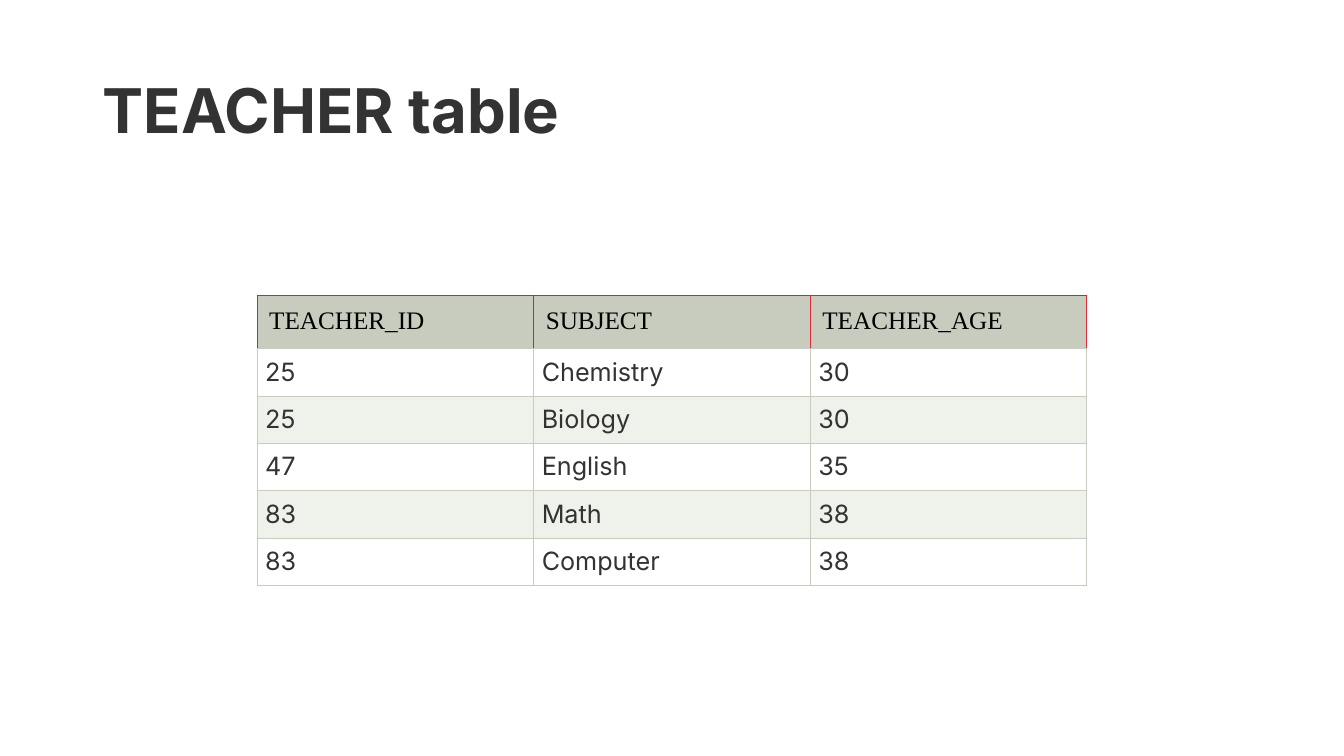
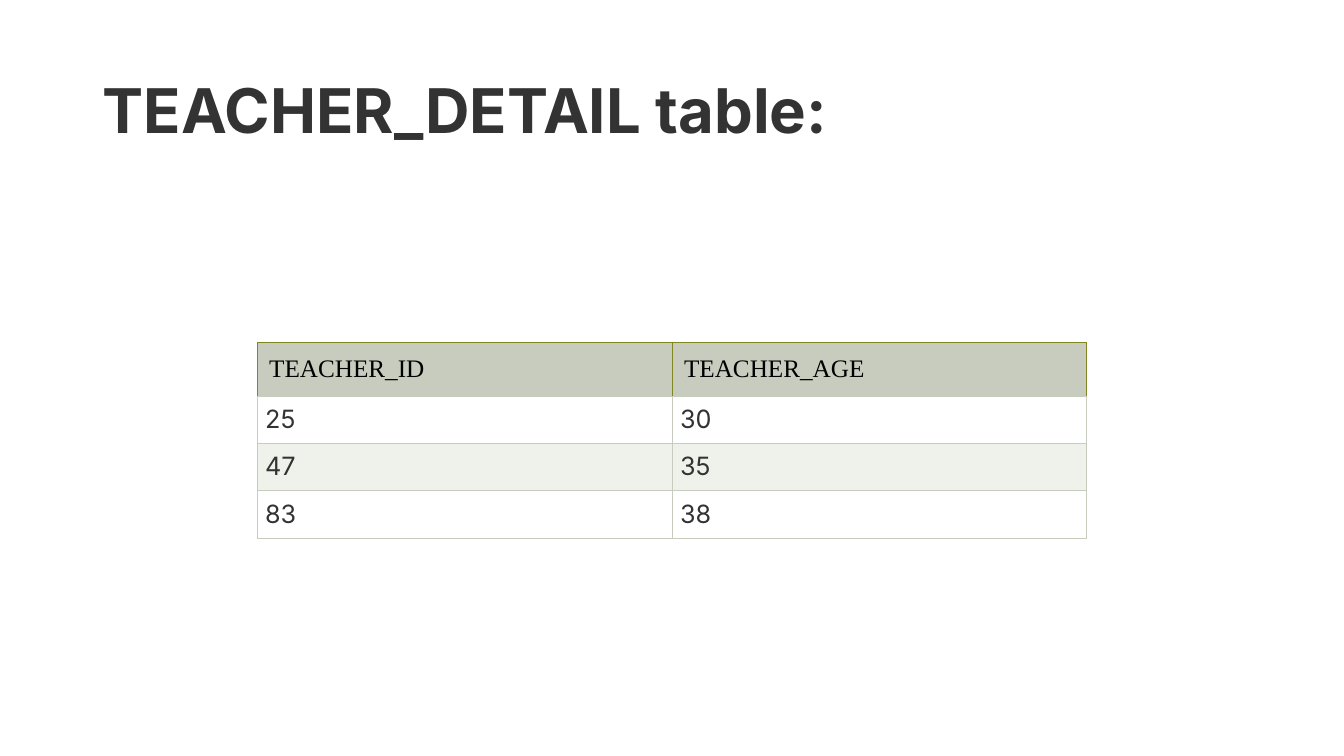
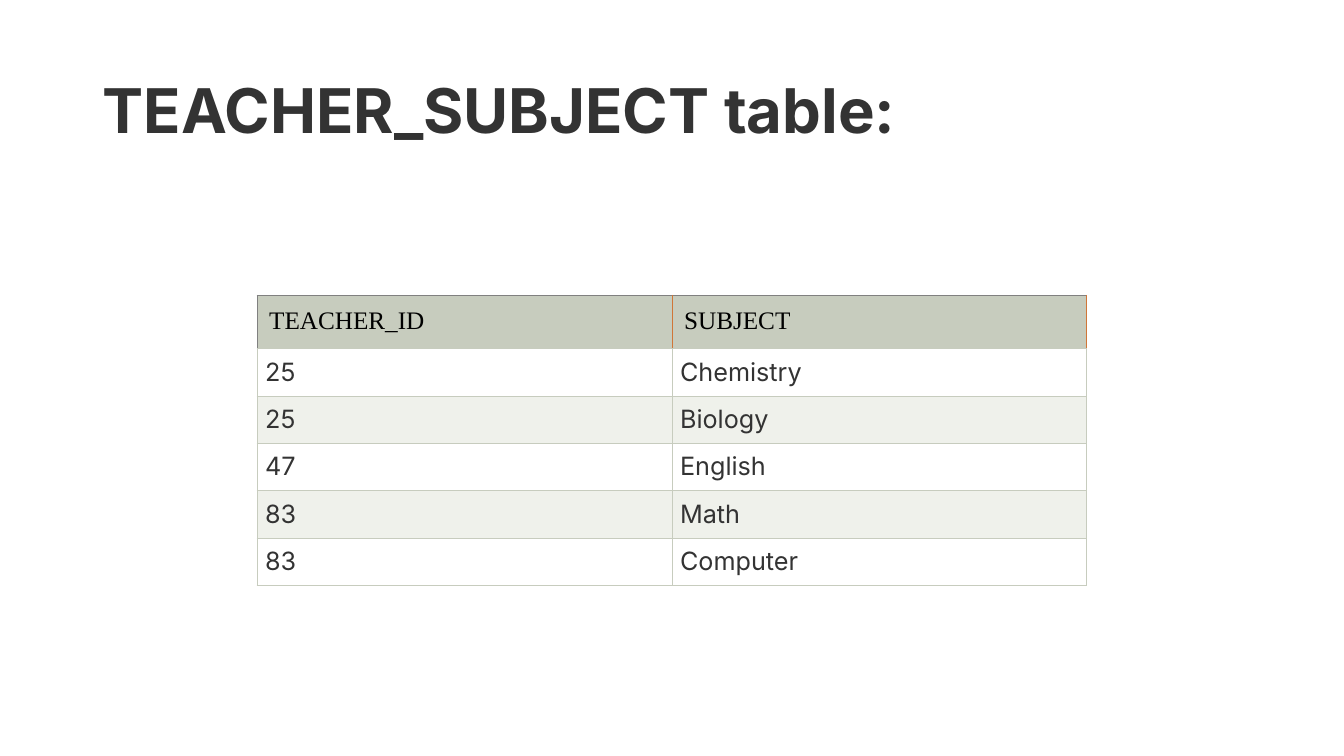
import lxml.etree
import pptx
import pptx.dml.color
import pptx.enum.text
import pptx.oxml.ns
import pptx.util

GREY, RED, OLIVE, MID_GREY, ORANGE = "5A5A5A", "E02938", "808722", "808080", "D07638"
SAGE, PALE, WHITE = "C7CCBE", "EFF1EB", "FFFFFF"

SUBJECTS = [("25", "Chemistry"), ("25", "Biology"), ("47", "English"),
            ("83", "Math"), ("83", "Computer")]
AGES = {"25": "30", "47": "35", "83": "38"}

# "edges" colours the header's vertical lines from left to right
TABLES = [
    {"title": "TEACHER table",
     "head": ("TEACHER_ID", "SUBJECT", "TEACHER_AGE"),
     "rows": [(key, subject, AGES[key]) for key, subject in SUBJECTS],
     "top": GREY, "edges": (GREY, GREY, RED, RED)},
    {"title": "TEACHER_DETAIL table:",
     "head": ("TEACHER_ID", "TEACHER_AGE"),
     "rows": list(AGES.items()),
     "top": OLIVE, "edges": (OLIVE,) * 3},
    {"title": "TEACHER_SUBJECT table:",
     "head": ("TEACHER_ID", "SUBJECT"),
     "rows": SUBJECTS,
     "top": MID_GREY, "edges": (MID_GREY, ORANGE, ORANGE)},
]

WIDTH, HEIGHT = 13.33, 7.5
TITLE_BOX = (0.92, 0.4, 11.5, 1.45)
TABLE_LEFT, TABLE_WIDTH, TABLE_MIDDLE = 2.55, 8.23, 4.37
HEAD_HEIGHT, ROW_HEIGHT = 0.53, 0.47
HEAD_INSET, ROW_INSET = 0.12, 0.08

TITLE_FONT = {"name": "Inter", "size": pptx.util.Pt(44), "bold": True}
HEAD_FONT = {"name": "Times New Roman", "size": pptx.util.Pt(18), "bold": False}
ROW_FONT = {"name": "Inter", "size": pptx.util.Pt(18), "bold": False}
INK, BLACK = "333333", "000000"


def rgb(hex_string):
    return pptx.dml.color.RGBColor.from_string(hex_string)


def inches(*lengths):
    return [pptx.util.Inches(length) for length in lengths]


def set_font(p, font, color):
    for name, value in font.items():
        setattr(p.font, name, value)
    p.font.color.rgb = rgb(color)


def set_borders(cell, colors):
    """Draw the cell's left, right, top and bottom lines."""
    tc_pr = cell._tc.get_or_add_tcPr()
    qn = pptx.oxml.ns.qn
    for side, color in zip("LRTB", colors):
        line = lxml.etree.SubElement(tc_pr, qn(f"a:ln{side}"), w=str(pptx.util.Pt(0.75)))
        fill = lxml.etree.SubElement(line, qn("a:solidFill"))
        lxml.etree.SubElement(fill, qn("a:srgbClr"), val=color)


def fill_cell(cell, text, inset, font, ink, background, borders):
    set_borders(cell, borders)
    cell.fill.solid()
    cell.fill.fore_color.rgb = rgb(background)
    for side in ("left", "right", "top", "bottom"):
        setattr(cell, f"margin_{side}", pptx.util.Inches(inset))
    cell.text = text
    set_font(cell.text_frame.paragraphs[0], font, ink)


def add_title(s, text):
    sp = s.shapes.title
    sp.left, sp.top, sp.width, sp.height = inches(*TITLE_BOX)
    tf = sp.text_frame
    tf.text = text
    tf.auto_size = pptx.enum.text.MSO_AUTO_SIZE.NONE
    tf.vertical_anchor = pptx.enum.text.MSO_ANCHOR.MIDDLE
    p = tf.paragraphs[0]
    p.alignment = pptx.enum.text.PP_ALIGN.LEFT
    p.line_spacing = 0.9
    set_font(p, TITLE_FONT, INK)


def add_data_table(s, head, rows, top, edges):
    height = HEAD_HEIGHT + ROW_HEIGHT * len(rows)
    box = inches(TABLE_LEFT, TABLE_MIDDLE - height / 2, TABLE_WIDTH, height)
    table = s.shapes.add_table(len(rows) + 1, len(head), *box).table
    table.first_row = table.horz_banding = False
    for i, row in enumerate(table.rows):
        row.height = pptx.util.Inches(ROW_HEIGHT if i else HEAD_HEIGHT)

    for c, text in enumerate(head):
        fill_cell(table.cell(0, c), text, HEAD_INSET, HEAD_FONT, BLACK, SAGE,
                  (edges[c], edges[c + 1], top, SAGE))
    for r, row in enumerate(rows, 1):
        for c, text in enumerate(row):
            cell = table.cell(r, c)
            fill_cell(cell, text, ROW_INSET, ROW_FONT, INK,
                      WHITE if r % 2 else PALE, (SAGE,) * 4)
            cell.text_frame.paragraphs[0].alignment = pptx.enum.text.PP_ALIGN.JUSTIFY


def main():
    prs = pptx.Presentation()
    prs.slide_width, prs.slide_height = inches(WIDTH, HEIGHT)
    title_only = prs.slide_layouts[5]
    for item in TABLES:
        s = prs.slides.add_slide(title_only)
        add_title(s, item["title"])
        add_data_table(s, item["head"], item["rows"], item["top"], item["edges"])
    prs.save("out.pptx")


if __name__ == "__main__":
    main()
